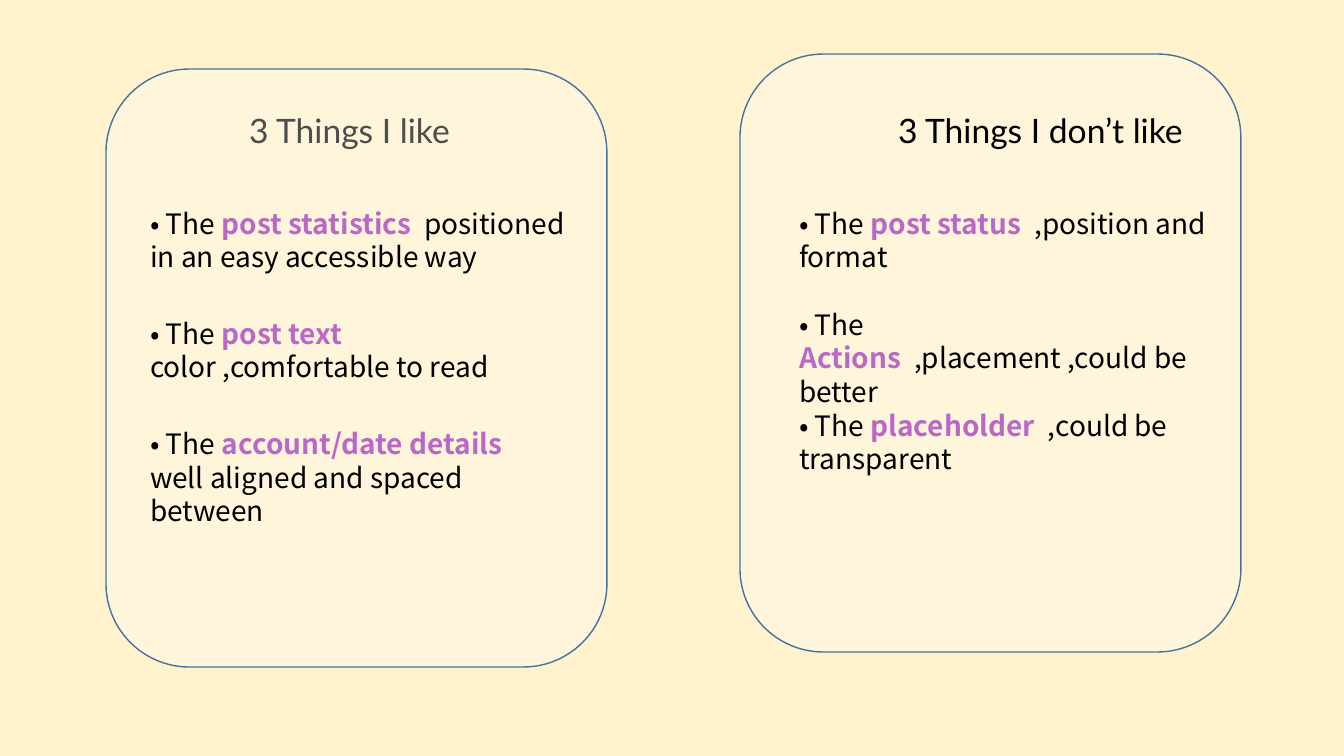
from dataclasses import dataclass

from lxml.etree import SubElement
from pptx import Presentation
from pptx.dml.color import RGBColor
from pptx.enum.shapes import MSO_SHAPE
from pptx.enum.text import MSO_ANCHOR, MSO_AUTO_SIZE, PP_ALIGN
from pptx.oxml.ns import qn
from pptx.util import Emu, Pt

EMU_PER_PX = 914400 / 100.8
COLORS = {
    "background": "FFF2CC",
    "card": "FFFFFF",
    "outline": "43739E",
    "text": "000000",
    "accent": "BA68C8",
}
CARD_SIZE = (501, 598)
CARD_OPACITY = 30
HEADING_TOP, HEADING_HEIGHT = 105, 50
LIST_TOP, LIST_WIDTH, LIST_HEIGHT = 201, 435, 350
LINE_HEIGHT = 24


@dataclass(frozen=True)
class Item:
    accent: str
    rest: str
    gap: int = 0


@dataclass(frozen=True)
class Panel:
    card_at: tuple[int, int]
    heading: str
    heading_left: int
    heading_width: int
    heading_idx: int
    list_left: int
    list_idx: int
    items: tuple[Item, ...]
    heading_under_card: bool = False


PANELS = (
    Panel((740, 54), "3 Things I don’t like", 888, 337, 3, 789, 4, (
        Item("post status  ", ",position and format"),
        Item("Actions  ", ",placement ,could be better", gap=34),
        Item("placeholder  ", ",could be transparent"),
    )),
    Panel((106, 69), "3 Things I like", 239, 231, 1, 140, 2, (
        Item("post statistics  ", "positioned in an easy accessible way"),
        Item("post text  ", "color ,comfortable to read", gap=43),
        Item("account/date details  ", "well aligned and spaced between", gap=43),
    ), heading_under_card=True),
)


def px(n: int) -> Emu:
    return Emu(round(n * EMU_PER_PX))


def color(name: str) -> RGBColor:
    return RGBColor.from_string(COLORS[name])


def add_run(p, text: str, *, font: str, size: int, fill: str = "text",
            bold: bool = False) -> None:
    r = p.add_run()
    r.text = text
    r.font.name, r.font.size, r.font.bold = font, Pt(size), bold
    r.font.color.rgb = color(fill)


def place(sp, left: int, top: int, width: int, height: int):
    sp.left, sp.top, sp.width, sp.height = map(px, (left, top, width, height))
    tf = sp.text_frame
    tf.word_wrap = True
    tf.auto_size = MSO_AUTO_SIZE.NONE
    tf.vertical_anchor = MSO_ANCHOR.TOP
    return tf


def format_paragraph(p, gap: int = 0) -> None:
    pPr = p._p.get_or_add_pPr()
    pPr.set("marL", "0")
    pPr.set("indent", "0")
    SubElement(pPr, qn("a:buNone"))
    p.alignment = PP_ALIGN.LEFT
    p.space_before = px(gap)


def add_card(s, left: int, top: int):
    sp = s.shapes.add_shape(MSO_SHAPE.ROUNDED_RECTANGLE,
                            *map(px, (left, top, *CARD_SIZE)))
    sp.shadow.inherit = False
    sp.fill.solid()
    sp.fill.fore_color.rgb = color("card")
    clr = sp._element.spPr.find(qn("a:solidFill")).find(qn("a:srgbClr"))
    SubElement(clr, qn("a:alpha")).set("val", str(CARD_OPACITY * 1000))
    sp.line.color.rgb = color("outline")
    sp.line.width = Pt(1)
    return sp


def fill_heading(sp, panel: Panel) -> None:
    tf = place(sp, panel.heading_left, HEADING_TOP,
               panel.heading_width, HEADING_HEIGHT)
    p = tf.paragraphs[0]
    format_paragraph(p)
    add_run(p, panel.heading, font="Lato", size=24)


def fill_list(sp, panel: Panel) -> None:
    tf = place(sp, panel.list_left, LIST_TOP, LIST_WIDTH, LIST_HEIGHT)
    style = {"font": "Noto Sans CJK JP", "size": 20}
    for i, item in enumerate(panel.items):
        p = tf.add_paragraph() if i else tf.paragraphs[0]
        format_paragraph(p, item.gap)
        p.line_spacing = Pt(LINE_HEIGHT)
        add_run(p, "• The ", **style)
        add_run(p, item.accent, fill="accent", bold=True, **style)
        add_run(p, item.rest, **style)


def draw_panel(s, panel: Panel) -> None:
    placeholders = {sp.placeholder_format.idx: sp for sp in s.placeholders}
    heading = placeholders[panel.heading_idx]
    body = placeholders[panel.list_idx]
    fill_heading(heading, panel)
    fill_list(body, panel)
    card = add_card(s, *panel.card_at)
    order = [heading, card] if panel.heading_under_card else [card, heading]
    for sp in (*order, body):
        s.shapes._spTree.append(sp._element)


def main() -> None:
    """Build the two-panel likes and dislikes slide."""
    prs = Presentation()
    prs.slide_width, prs.slide_height = px(1344), px(756)
    s = prs.slides.add_slide(prs.slide_layouts.get_by_name("Comparison"))
    s.background.fill.solid()
    s.background.fill.fore_color.rgb = color("background")
    title = s.shapes.title._element
    title.getparent().remove(title)
    for panel in PANELS:
        draw_panel(s, panel)
    prs.save("out.pptx")


if __name__ == "__main__":
    main()
